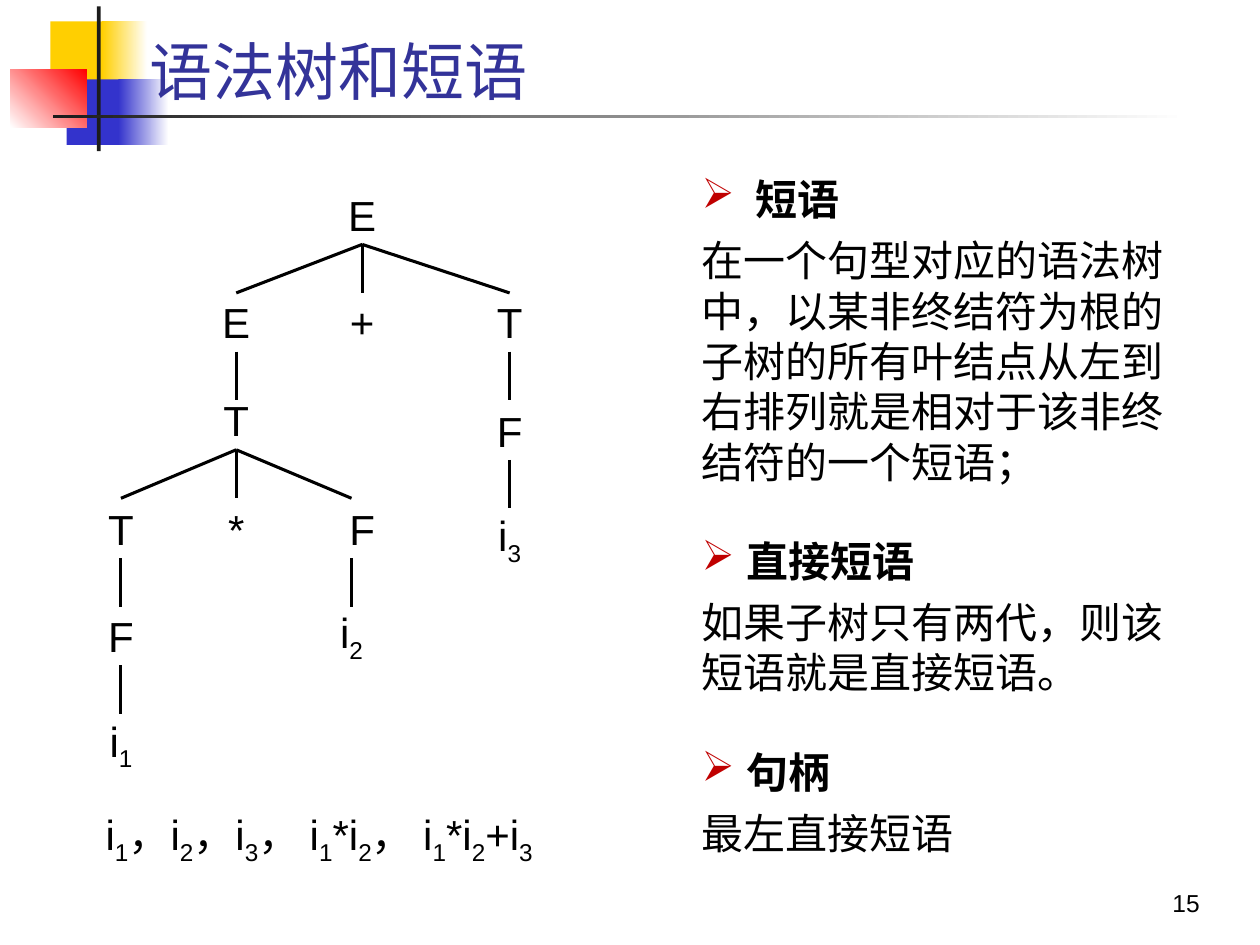
"""Build the slide on syntax trees and phrases."""
from dataclasses import dataclass
from typing import Optional

import lxml.etree
import pptx
import pptx.dml.color
import pptx.enum.shapes
import pptx.enum.text
import pptx.oxml.ns
import pptx.util

COLOURS = {
    "yellow": "FFCF01", "blue": "3333CC", "red": "FF0000", "white": "FFFFFF",
    "rule": "1C1C1C", "title": "333399", "text": "000000", "bullet": "C00000",
}
COLUMNS, ROWS = 100, 75
NODE_WIDTH, NODE_HEIGHT, BRANCH_HEIGHT = 6.7, 4.7, 3.85
ALIGN = pptx.enum.text.PP_ALIGN
ANCHOR = pptx.enum.text.MSO_ANCHOR

deck = pptx.Presentation()
deck.slide_width = pptx.util.Inches(10)
deck.slide_height = pptx.util.Inches(7.5)
slide = deck.slides.add_slide(deck.slide_layouts[6])


@dataclass
class Ornament:
    left: float
    top: float
    width: float
    height: float
    start: str
    end: Optional[str] = None
    angle: float = 0


@dataclass
class Node:
    symbol: str
    centre: float
    top: float
    parent: Optional[str] = None
    stem: Optional[float] = None

    @property
    def stem_column(self) -> float:
        return self.centre if self.stem is None else self.stem


@dataclass
class Concept:
    term: str
    definition: str
    indent: float
    gap: float


def across(columns: float) -> int:
    return round(deck.slide_width * columns / COLUMNS)


def down(rows: float) -> int:
    return round(deck.slide_height * rows / ROWS)


def rgb(colour: str) -> pptx.dml.color.RGBColor:
    return pptx.dml.color.RGBColor.from_string(COLOURS[colour])


def draw_ornament(ornament: Ornament) -> None:
    block = slide.shapes.add_shape(
        pptx.enum.shapes.MSO_SHAPE.RECTANGLE, across(ornament.left), down(ornament.top),
        across(ornament.width), down(ornament.height))
    block.shadow.inherit = False
    block.line.fill.background()
    if ornament.end is None:
        block.fill.solid()
        block.fill.fore_color.rgb = rgb(ornament.start)
        return
    block.fill.gradient()
    block.fill.gradient_angle = ornament.angle
    for stop, colour in zip(block.fill.gradient_stops, (ornament.start, ornament.end)):
        stop.color.rgb = rgb(colour)


def add_frame(left: float, top: float, width: float, height: float,
              anchor: ANCHOR = ANCHOR.TOP, wrap: bool = True):
    frame = slide.shapes.add_textbox(
        across(left), down(top), across(width), down(height)).text_frame
    frame.word_wrap = wrap
    frame.vertical_anchor = anchor
    return frame


def write(paragraph, text: str, size: float = 24, align: ALIGN = ALIGN.LEFT,
          bold: bool = False, colour: str = "text", face: str = "Arial") -> None:
    """Write text in which an underscore lowers the next character."""
    paragraph.alignment = align
    font = paragraph.font
    font.size, font.bold, font.name = pptx.util.Pt(size), bold, face
    font.color.rgb = rgb(colour)
    first, *rest = text.split("_")
    paragraph.add_run().text = first
    for piece in rest:
        index = paragraph.add_run()
        index.text = piece[0]
        index._r.get_or_add_rPr().set("baseline", "-25000")
        if piece[1:]:
            paragraph.add_run().text = piece[1:]


def set_indent(paragraph, margin: float, first_line: float) -> None:
    properties = paragraph._p.get_or_add_pPr()
    properties.set("marL", str(across(margin)))
    properties.set("indent", str(across(first_line)))


def add_bullet(paragraph) -> None:
    properties = paragraph._p.get_or_add_pPr()
    tag = pptx.oxml.ns.qn
    tint = lxml.etree.SubElement(properties, tag("a:buClr"))
    lxml.etree.SubElement(tint, tag("a:srgbClr"), val=COLOURS["bullet"])
    lxml.etree.SubElement(properties, tag("a:buChar"), char="➢")


def draw_branch(parent: Node, child: Node) -> None:
    start = parent.top + NODE_HEIGHT
    branch = slide.shapes.add_connector(
        pptx.enum.shapes.MSO_CONNECTOR.STRAIGHT, across(parent.stem_column), down(start),
        across(child.stem_column), down(start + BRANCH_HEIGHT))
    branch.line.color.rgb = rgb("text")
    branch.line.width = pptx.util.Pt(1.75)
    lxml.etree.SubElement(branch._element.spPr, pptx.oxml.ns.qn("a:effectLst"))


def draw_tree(nodes: dict[str, Node]) -> None:
    for node in nodes.values():
        frame = add_frame(node.centre - NODE_WIDTH / 2, node.top, NODE_WIDTH, NODE_HEIGHT,
                          ANCHOR.MIDDLE, wrap=False)
        write(frame.paragraphs[0], node.symbol, align=ALIGN.CENTER)
        if node.parent:
            draw_branch(nodes[node.parent], node)


def write_concepts(concepts: list[Concept]) -> None:
    frame = add_frame(54.7, 13.3, 40.6, 56)
    for number, concept in enumerate(concepts):
        term = frame.add_paragraph() if number else frame.paragraphs[0]
        set_indent(term, concept.indent, -concept.indent)
        if concept.gap:
            term.space_before = pptx.util.Pt(concept.gap)
        add_bullet(term)
        write(term, concept.term, bold=True)
        definition = frame.add_paragraph()
        definition.space_before = pptx.util.Pt(6)
        write(definition, concept.definition)


ORNAMENTS = [
    Ornament(4, 1.7, 4.8, 5.2, "yellow"),
    Ornament(8.1, 1.7, 3.6, 5.2, "yellow", "white"),
    Ornament(5.3, 6.3, 4.6, 5.2, "blue"),
    Ornament(9.4, 6.3, 4, 5.2, "blue", "white"),
    Ornament(0.8, 5.5, 6.1, 4.6, "white", "red", 45),
    Ornament(7.7, 0.5, 0.3, 11.5, "rule"),
    Ornament(4.2, 9.1, 90, 0.3, "rule", "white"),
]
TREE = {
    "sum": Node("E", 28.75, 14.7),
    "left sum": Node("E", 18.75, 23.2, "sum"),
    "plus": Node("+", 28.75, 23.2, "sum"),
    "right term": Node("T", 40.45, 23.2, "sum"),
    "product": Node("T", 18.75, 31, "left sum"),
    "left term": Node("T", 9.6, 39.6, "product"),
    "times": Node("*", 18.75, 39.6, "product"),
    "right factor": Node("F", 28.75, 39.6, "product", stem=27.9),
    "left factor": Node("F", 9.6, 48.1, "left term"),
    "first": Node("i_1", 9.6, 56.7, "left factor"),
    "second": Node("i_2", 27.9, 48.1, "right factor"),
    "last factor": Node("F", 40.45, 31.8, "right term"),
    "third": Node("i_3", 40.45, 40.4, "last factor"),
}
CONCEPTS = [
    Concept("短语", "在一个句型对应的语法树中，以某非终结符为根的子树的所有叶结点从左到右排列"
            "就是相对于该非终结符的一个短语；", 4.3, 0),
    Concept("直接短语", "如果子树只有两代，则该短语就是直接短语。", 3.6, 28),
    Concept("句柄", "最左直接短语", 3.6, 28),
]

for ornament in ORNAMENTS:
    draw_ornament(ornament)

heading = add_frame(10.9, 2.3, 86.7, 6.8, ANCHOR.BOTTOM).paragraphs[0]
heading.line_spacing = 0.85
write(heading, "语法树和短语", 36, colour="title", face="Noto Sans CJK SC")

page_number = add_frame(75.4, 68.3, 20.8, 5, ANCHOR.BOTTOM).paragraphs[0]
write(page_number, "15", 14, ALIGN.RIGHT)

draw_tree(TREE)
write_concepts(CONCEPTS)

phrases = add_frame(6.5, 63.7, 38.9, 5).paragraphs[0]
set_indent(phrases, 0, 0.9)
write(phrases, "i_1，i_2，i_3， i_1*i_2， i_1*i_2+i_3")

deck.save("out.pptx")
